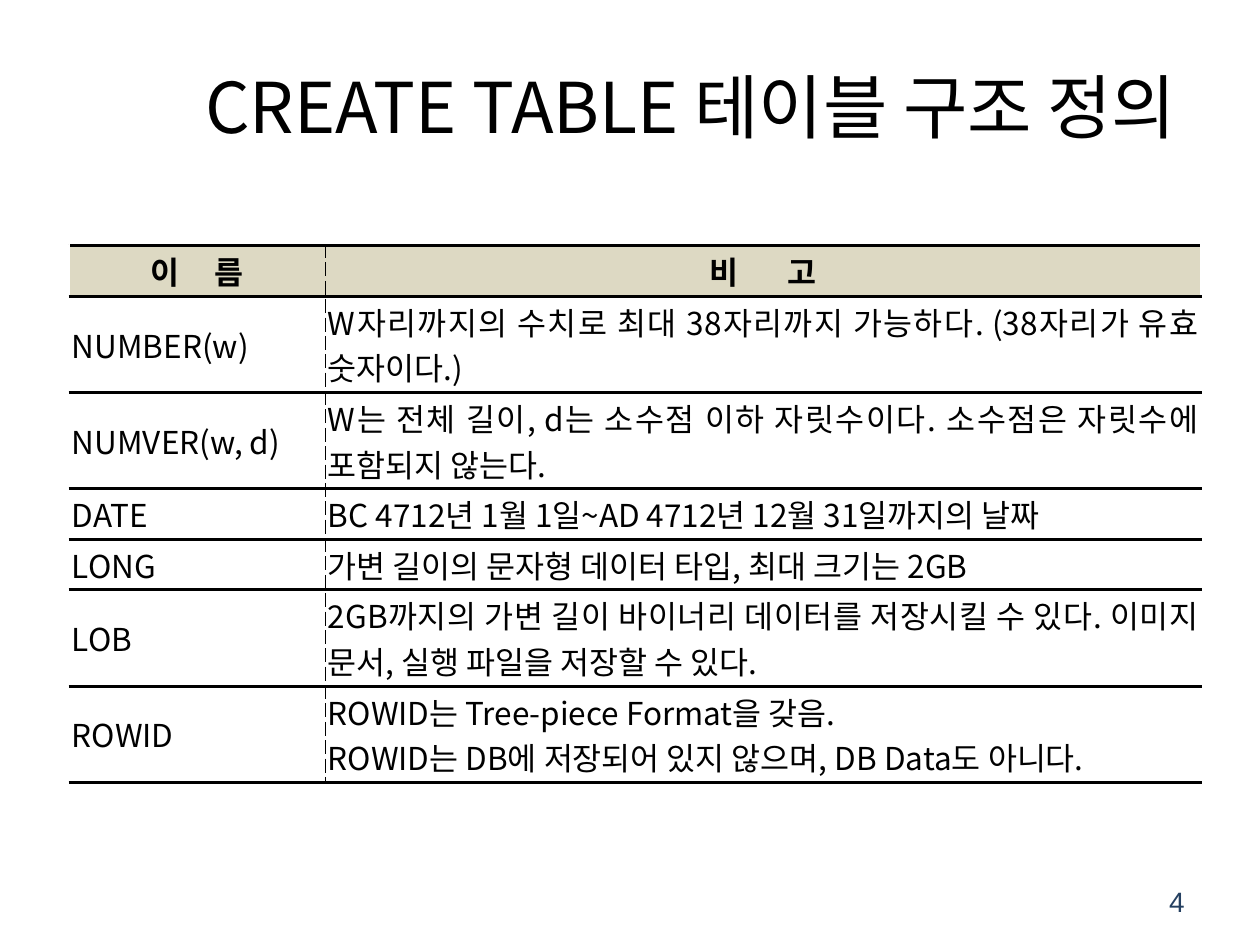
"""Build a slide with a table of SQL column data types."""
from lxml.etree import SubElement
from pptx import Presentation
from pptx.dml.color import RGBColor
from pptx.enum.text import MSO_ANCHOR, PP_ALIGN
from pptx.oxml.ns import qn
from pptx.util import Cm, Pt

BLACK = RGBColor(0x00, 0x00, 0x00)
WHITE = RGBColor(0xFF, 0xFF, 0xFF)
BEIGE = RGBColor(0xDD, 0xD9, 0xC3)
NAVY = RGBColor(0x25, 0x40, 0x61)
KOREAN_FONT = "Noto Sans CJK KR"

TITLE = "CREATE TABLE 테이블 구조 정의 "
PAGE_NUMBER = "4"
HEADERS = [(("이", "름"), 16), (("비", "고"), 24)]
DATA_TYPES = [
    ("NUMBER(w)", ["W자리까지의 수치로 최대 38자리까지 가능하다. (38자리가 유효 숫자이다.)"], 2),
    ("NUMVER(w, d)", ["W는 전체 길이, d는 소수점 이하 자릿수이다. 소수점은 자릿수에 포함되지 않는다. "], 2),
    ("DATE", ["BC 4712년 1월 1일~AD 4712년 12월 31일까지의 날짜"], 1),
    ("LONG", ["가변 길이의 문자형 데이터 타입, 최대 크기는 2GB"], 1),
    ("LOB", ["2GB까지의 가변 길이 바이너리 데이터를 저장시킬 수 있다. "
             "이미지 문서, 실행 파일을 저장할 수 있다."], 2),
    ("ROWID", ["ROWID는 Tree-piece Format을 갖음.",
               "ROWID는 DB에 저장되어 있지 않으며, DB Data도 아니다."], 2),
]
COLUMN_WIDTHS = [Cm(5.16), Cm(17.65)]
LINE_HEIGHT = Cm(0.92)
CELL_MARGIN = Cm(0.05)
RULE = (Pt(2), "solid")
DIVIDER = (Pt(0.56), "dash")


def add_run(paragraph, text, size, font=KOREAN_FONT, color=BLACK, bold=False):
    run = paragraph.add_run()
    run.text = text
    run.font.size = Pt(size)
    run.font.name = font
    run.font.bold = bold
    run.font.color.rgb = color
    properties = run.font._element
    SubElement(properties, qn("a:ea"), typeface=font)
    return properties


def add_label(slide, bounds, text, alignment, size, font, color):
    box = slide.shapes.add_textbox(*bounds)
    frame = box.text_frame
    frame.word_wrap = True
    frame.vertical_anchor = MSO_ANCHOR.MIDDLE
    paragraph = frame.paragraphs[0]
    paragraph.alignment = alignment
    add_run(paragraph, text, size, font, color)


def style_cell(cell, color, borders):
    cell.vertical_anchor = MSO_ANCHOR.MIDDLE
    cell.margin_left = cell.margin_right = CELL_MARGIN
    cell.margin_top = cell.margin_bottom = CELL_MARGIN
    properties = cell._tc.get_or_add_tcPr()
    for tag, (width, dash) in borders.items():
        line = SubElement(properties, qn(f"a:{tag}"), w=str(width))
        fill = SubElement(line, qn("a:solidFill"))
        SubElement(fill, qn("a:srgbClr"), val=str(BLACK))
        SubElement(line, qn("a:prstDash"), val=dash)
    cell.fill.solid()
    cell.fill.fore_color.rgb = color


def write_header(cell, syllables, gap):
    paragraph = cell.text_frame.paragraphs[0]
    paragraph.alignment = PP_ALIGN.CENTER
    first, last = syllables
    add_run(paragraph, first, 18, bold=True)
    add_run(paragraph, " ", 18, bold=True).set("spc", str(gap * 100))
    add_run(paragraph, last, 18, bold=True)


def write_body(cell, lines):
    frame = cell.text_frame
    for index, text in enumerate(lines):
        paragraph = frame.add_paragraph() if index else frame.paragraphs[0]
        paragraph.alignment = PP_ALIGN.JUSTIFY
        add_run(paragraph, text, 18)


def add_type_table(slide):
    line_counts = [1] + [count for _, _, count in DATA_TYPES]
    heights = [count * LINE_HEIGHT + 2 * CELL_MARGIN for count in line_counts]
    table = slide.shapes.add_table(
        len(heights), len(COLUMN_WIDTHS), Cm(1.4), Cm(4.95),
        sum(COLUMN_WIDTHS), sum(heights)).table
    table.first_row = table.horz_banding = False
    for column, width in zip(table.columns, COLUMN_WIDTHS):
        column.width = width
    for index, (row, height) in enumerate(zip(table.rows, heights)):
        row.height = height
        for cell, side in zip(row.cells, ("lnR", "lnL")):
            borders = {side: DIVIDER, "lnT": RULE, "lnB": RULE}
            style_cell(cell, WHITE if index else BEIGE, borders)
    for column, (syllables, gap) in enumerate(HEADERS):
        write_header(table.cell(0, column), syllables, gap)
    for index, (name, remarks, _) in enumerate(DATA_TYPES, start=1):
        write_body(table.cell(index, 0), [name])
        write_body(table.cell(index, 1), remarks)


def main():
    presentation = Presentation()
    presentation.slide_width, presentation.slide_height = Cm(25.4), Cm(19.05)
    slide = presentation.slides.add_slide(presentation.slide_layouts[6])
    add_label(slide, (Cm(2.77), Cm(0.53), Cm(22.63), Cm(3.2)), TITLE,
              PP_ALIGN.CENTER, 40, KOREAN_FONT, BLACK)
    add_label(slide, (Cm(18.21), Cm(17.65), Cm(5.92), Cm(1.02)), PAGE_NUMBER,
              PP_ALIGN.RIGHT, 16, "Arial", NAVY)
    add_type_table(slide)
    presentation.save("out.pptx")


if __name__ == "__main__":
    main()
